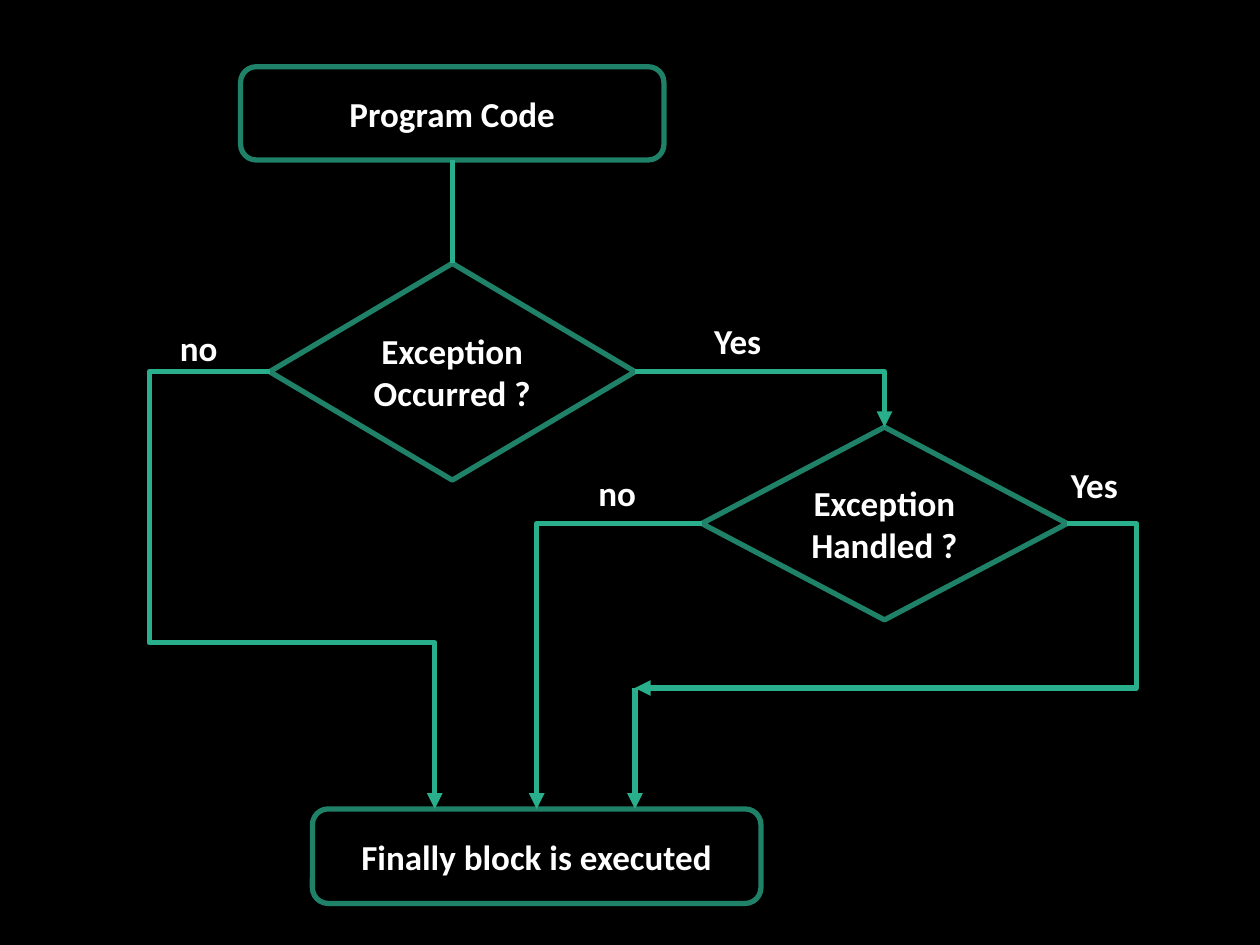
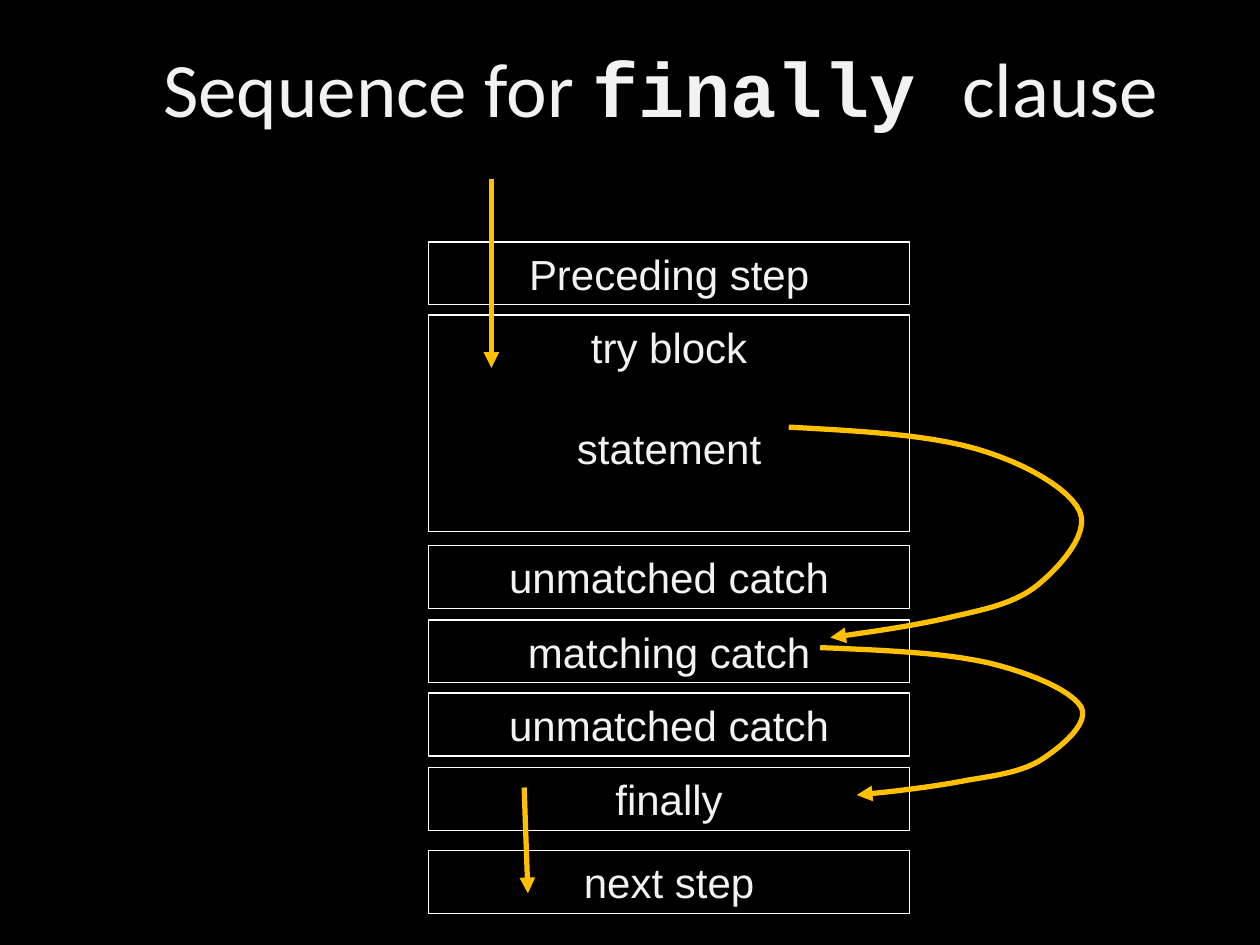
"""Build two slides on exception handling: a flowchart and the finally sequence."""
from lxml import etree
from pptx import Presentation
from pptx.dml.color import RGBColor
from pptx.enum import shapes, text
from pptx.oxml.ns import qn
from pptx.util import Inches, Pt

BLACK = RGBColor(0x00, 0x00, 0x00)
WHITE = RGBColor(0xFF, 0xFF, 0xFF)
PALE = RGBColor(0xF2, 0xF2, 0xF2)
DARK_GREEN = RGBColor(0x1E, 0x81, 0x68)
GREEN = RGBColor(0x29, 0xAF, 0x8C)
AMBER = RGBColor(0xFF, 0xC0, 0x00)
LINE_WIDTH = 3

ROUNDED = shapes.MSO_SHAPE.ROUNDED_RECTANGLE
DIAMOND = shapes.MSO_SHAPE.DIAMOND
STRAIGHT = shapes.MSO_CONNECTOR.STRAIGHT
ELBOW = shapes.MSO_CONNECTOR.ELBOW
TOP, LEFT, BOTTOM, RIGHT = range(4)

FLOW_FONT = {"name": "Calibri", "size": Pt(20), "bold": True}
STEP_FONT = {"name": "Arial", "size": Pt(24), "bold": False}
TITLE_FONT = {"name": "Calibri", "size": Pt(44), "bold": False}
CODE_FONT = {"name": "Courier New", "size": Pt(44), "bold": True}

FLOW_NODES = {
    "code": (ROUNDED, "Program Code", (1.91, 0.53, 3.36, 0.74)),
    "occurred": (DIAMOND, "Exception Occurred ?", (2.14, 2.09, 2.9, 1.72)),
    "handled": (DIAMOND, "Exception Handled ?", (5.57, 3.39, 2.9, 1.53)),
    "finally": (ROUNDED, "Finally block is executed", (2.48, 6.42, 3.56, 0.75)),
}
FLOW_LABELS = [
    ("no", (1.33, 2.54, 0.58, 0.44)),
    ("Yes", (5.57, 2.49, 0.77, 0.44)),
    ("no", (4.65, 3.69, 0.58, 0.44)),
    ("Yes", (8.4, 3.63, 0.77, 0.44)),
]
FLOW_ELBOWS = [
    ("bentConnector4", (2.14, 2.95), (3.45, 6.42), (-0.73, 0.62), ("occurred", LEFT), None),
    ("bentConnector2", (5.04, 2.95), (7.01, 3.39), (), ("occurred", RIGHT), ("handled", TOP)),
    ("bentConnector2", (5.57, 4.16), (4.26, 6.42), (), ("handled", LEFT), ("finally", TOP)),
    ("bentConnector3", (8.46, 4.16), (5.04, 5.46), (-0.16,), ("handled", RIGHT), None),
]

TITLE_BOX = (0.72, 0.21, 9.05, 0.96)
TITLE_RUNS = [("Sequence for ", TITLE_FONT), ("finally ", CODE_FONT), ("clause", TITLE_FONT)]
STEP_LEFT, STEP_TOP, STEP_WIDTH = 3.4, 1.92, 3.82
STEPS = [
    (["Preceding step"], 0.5, 0.08),
    (["try block", "statement"], 1.72, 0.11),
    (["unmatched catch"], 0.5, 0.09),
    (["matching catch"], 0.5, 0.08),
    (["unmatched catch"], 0.5, 0.09),
    (["finally"], 0.5, 0.16),
    (["next step"], 0.5, 0),
]
STEP_ARROWS = [((3.9, 1.42), (3.9, 2.92)), ((4.16, 6.25), (4.19, 7.09))]
JUMP_CURVES = [
    [(6.26, 3.39), (6.81, 3.42), (7.36, 3.45), (7.74, 3.56), (8.13, 3.67),
     (8.49, 3.88), (8.57, 4.06), (8.65, 4.24), (8.4, 4.51), (8.24, 4.64),
     (8.07, 4.78), (7.85, 4.83), (7.58, 4.89), (7.3, 4.96), (6.95, 5.01), (6.59, 5.06)],
    [(6.51, 5.14), (7, 5.16), (7.49, 5.18), (7.84, 5.26), (8.18, 5.34),
     (8.5, 5.48), (8.58, 5.61), (8.65, 5.74), (8.43, 5.92), (8.28, 6.02),
     (8.13, 6.12), (7.94, 6.15), (7.69, 6.19), (7.44, 6.24), (7.12, 6.28), (6.8, 6.31)],
]
CURVE_SAMPLES = 12


def inches(values):
    return [Inches(value) for value in values]


def add_run(paragraph, words, font_format, color):
    run = paragraph.add_run()
    run.text = words
    for name, value in font_format.items():
        setattr(run.font, name, value)
    run.font.color.rgb = color


def style_line(shape, color, width=LINE_WIDTH, arrow=False):
    shape.line.color.rgb = color
    shape.line.width = Pt(width)
    if arrow:
        line = shape.line._get_or_add_ln()
        etree.SubElement(line, qn("a:tailEnd"), type="triangle")


def add_box(slide, kind, box, color, width):
    shape = slide.shapes.add_shape(kind, *inches(box))
    shape.shadow.inherit = False
    shape.fill.background()
    style_line(shape, color, width)
    shape.text_frame.word_wrap = True
    return shape


def add_link(slide, kind, start, end, color, arrow=True):
    connector = slide.shapes.add_connector(kind, *inches(start + end))
    style_line(connector, color, arrow=arrow)
    etree.SubElement(connector._element.spPr, qn("a:effectLst"))
    return connector


def bend(connector, preset, adjustments):
    geometry = connector._element.spPr.find(qn("a:prstGeom"))
    geometry.set("prst", preset)
    guides = geometry.find(qn("a:avLst"))
    for number, share in enumerate(adjustments, 1):
        formula = f"val {round(share * 100000)}"
        etree.SubElement(guides, qn("a:gd"), name=f"adj{number}", fmla=formula)


def curve_points(controls):
    points = [controls[0]]
    for first in range(0, len(controls) - 1, 3):
        segment = controls[first:first + 4]
        for step in range(1, CURVE_SAMPLES + 1):
            t = step / CURVE_SAMPLES
            weights = ((1 - t) ** 3, 3 * t * (1 - t) ** 2, 3 * t * t * (1 - t), t ** 3)
            points.append(tuple(sum(w * point[axis] for w, point in zip(weights, segment))
                                for axis in (0, 1)))
    return [inches(point) for point in points]


def add_curve(slide, controls):
    points = curve_points(controls)
    builder = slide.shapes.build_freeform(*points[0])
    builder.add_line_segments(points[1:], close=False)
    curve = builder.convert_to_shape()
    curve.shadow.inherit = False
    curve.fill.background()
    style_line(curve, AMBER, arrow=True)


def build_flowchart(presentation):
    slide = presentation.slides.add_slide(presentation.slide_layouts[6])
    nodes = {}
    for key, (kind, words, box) in FLOW_NODES.items():
        nodes[key] = add_box(slide, kind, box, DARK_GREEN, LINE_WIDTH)
        nodes[key].text_frame.vertical_anchor = text.MSO_ANCHOR.MIDDLE
        paragraph = nodes[key].text_frame.paragraphs[0]
        paragraph.alignment = text.PP_ALIGN.CENTER
        add_run(paragraph, words, FLOW_FONT, WHITE)

    entry = add_link(slide, STRAIGHT, (3.59, 1.26), (3.59, 2.09), GREEN, arrow=False)
    entry.begin_connect(nodes["code"], BOTTOM)
    entry.end_connect(nodes["occurred"], TOP)
    for preset, start, end, adjustments, source, target in FLOW_ELBOWS:
        connector = add_link(slide, ELBOW, start, end, GREEN)
        bend(connector, preset, adjustments)
        connector.begin_connect(nodes[source[0]], source[1])
        if target:
            connector.end_connect(nodes[target[0]], target[1])
    add_link(slide, STRAIGHT, (5.04, 5.46), (5.04, 6.42), GREEN)

    for words, box in FLOW_LABELS:
        label = slide.shapes.add_textbox(*inches(box))
        label.text_frame.word_wrap = True
        add_run(label.text_frame.paragraphs[0], words, FLOW_FONT, WHITE)


def build_sequence(presentation):
    slide = presentation.slides.add_slide(presentation.slide_layouts[5])
    title = slide.shapes.title
    title.left, title.top, title.width, title.height = inches(TITLE_BOX)
    title.text_frame.vertical_anchor = text.MSO_ANCHOR.MIDDLE
    heading = title.text_frame.paragraphs[0]
    heading.alignment = text.PP_ALIGN.CENTER
    for words, font_format in TITLE_RUNS:
        add_run(heading, words, font_format, PALE)

    top = STEP_TOP
    for lines, height, gap in STEPS:
        box = add_box(slide, shapes.MSO_SHAPE.RECTANGLE,
                      (STEP_LEFT, top, STEP_WIDTH, height), WHITE, 0.75)
        frame = box.text_frame
        frame.vertical_anchor = text.MSO_ANCHOR.TOP
        for index, words in enumerate(lines):
            paragraph = frame.add_paragraph() if index else frame.paragraphs[0]
            paragraph.alignment = text.PP_ALIGN.CENTER
            paragraph.space_before = Pt(29 if index else 0)
            add_run(paragraph, words, STEP_FONT, PALE)
        top += height + gap

    for start, end in STEP_ARROWS:
        add_link(slide, STRAIGHT, start, end, AMBER)
    for controls in JUMP_CURVES:
        add_curve(slide, controls)


def main():
    presentation = Presentation()
    presentation.slide_width, presentation.slide_height = inches((10, 7.5))
    background = presentation.slide_master.background.fill
    background.solid()
    background.fore_color.rgb = BLACK
    build_flowchart(presentation)
    build_sequence(presentation)
    presentation.save("out.pptx")


if __name__ == "__main__":
    main()
